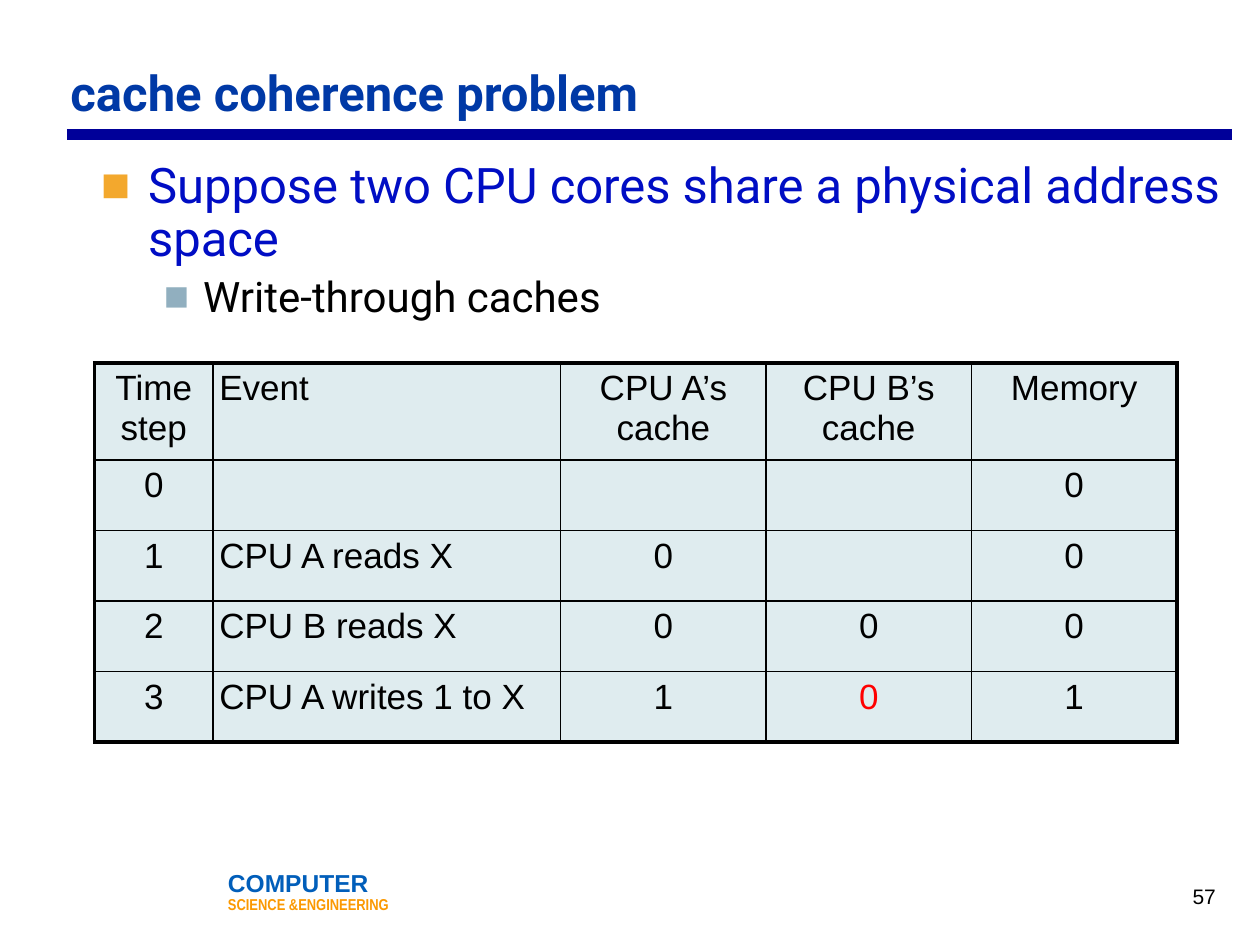
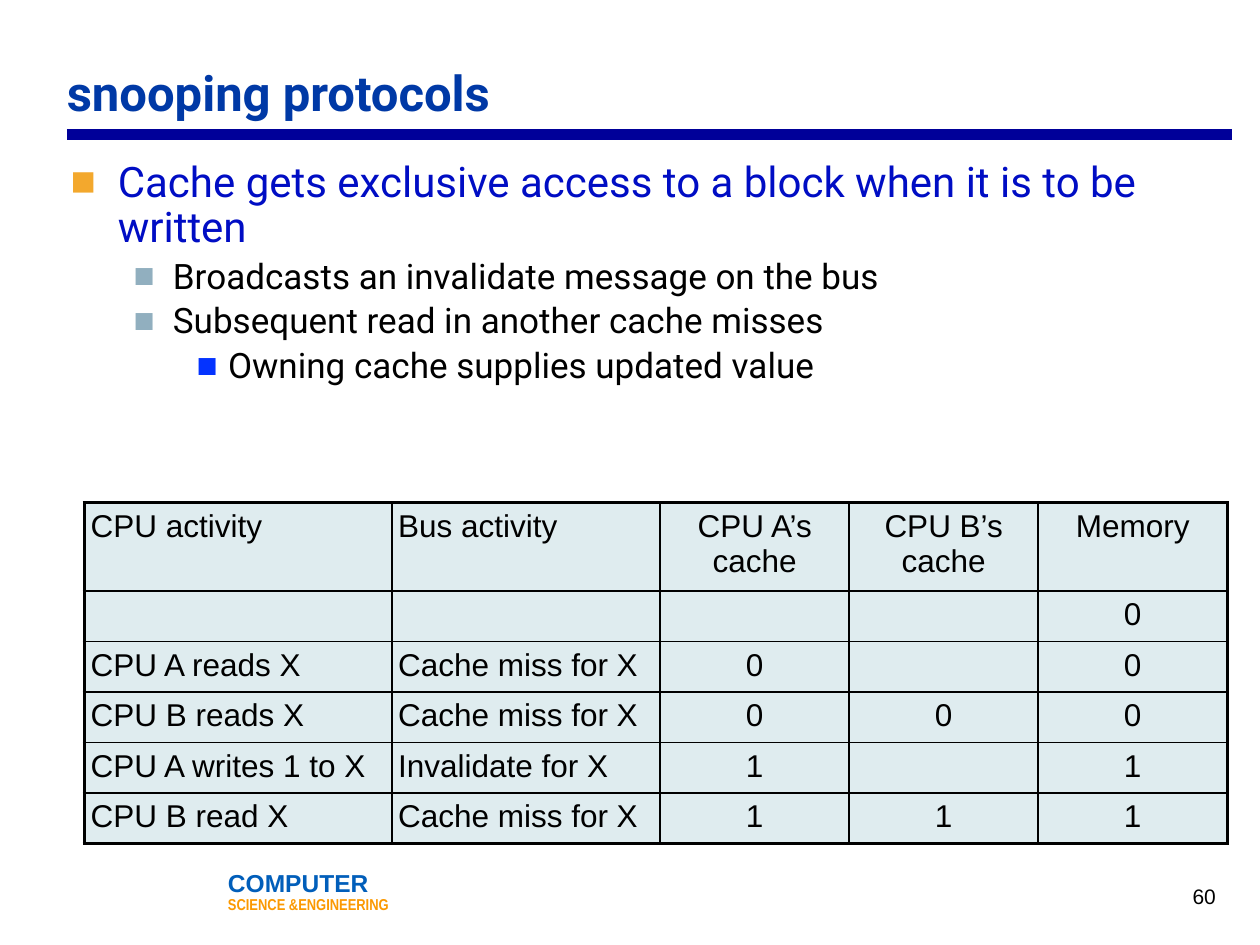
from lxml.etree import SubElement
from pptx import Presentation
from pptx.dml.color import RGBColor
from pptx.enum.shapes import MSO_CONNECTOR, MSO_SHAPE
from pptx.enum.text import MSO_ANCHOR as ANCHOR, PP_ALIGN as ALIGN
from pptx.oxml.ns import qn
from pptx.util import Pt

hex_color = RGBColor.from_string

BLACK, WHITE, RED = "000000", "FFFFFF", "FF0000"
TITLE_BLUE, RULE_BLUE = "0039A6", "000099"
FOOTER_BLUE, FOOTER_ORANGE = "015EBA", "FB9902"
CELL_FILL = "DFECEF"
INSET = Pt(3.6)
THIN, THICK = 1, 2.25
# Per outline level: left margin, hanging indent, bullet colour, text colour
LEVELS = [
    (27, 27, "F3A82D", "000DC4"),
    (58.5, 22.5, "91AFBF", BLACK),
    (90, 18, "0433FF", BLACK),
]

slides = [
    {
        "title": "cache coherence problem",
        "title_left": 36.7,
        "number": "57",
        "body_box": (54, 88.6, 651.6, 107.3),
        # level, size, space before, text
        "outline": [
            (0, 28, 0, "Suppose two CPU cores share a physical address space"),
            (1, 24, 5, "Write-through caches"),
        ],
        "table_at": (54, 207.4),
        "columns": [67.7, 198.7] + [117.4] * 3,
        "header_height": 55.4,
        "row_height": 40.3,
        "table_size": 20,
        "left_columns": {1},
        "stale_cell": (4, 3),
        "rows": [
            ("Time step", "Event", "CPU A’s cache", "CPU B’s cache", "Memory"),
            ("0", "", "", "", "0"),
            ("1", "CPU A reads X", "0", "", "0"),
            ("2", "CPU B reads X", "0", "0", "0"),
            ("3", "CPU A writes 1 to X", "1", "0", "1"),
        ],
    },
    {
        "title": "snooping protocols",
        "title_left": 34.6,
        "number": "60",
        "body_box": (36.7, 88.6, 651.6, 402.5),
        "outline": [
            (0, 24, 0, "Cache gets exclusive access to a block when it is to be written"),
            (1, 20, 4, "Broadcasts an invalidate message on the bus"),
            (1, 20, 4, "Subsequent read in another cache misses"),
            (2, 20, 4, "Owning cache supplies updated value"),
        ],
        "table_at": (48.2, 287.3),
        "columns": [175.7, 153.4] + [108] * 3,
        "header_height": 50.4,
        "row_height": 28.8,
        "table_size": 18,
        "left_columns": {0, 1},
        "stale_cell": None,
        "rows": [
            ("CPU activity", "Bus activity", "CPU A’s cache", "CPU B’s cache", "Memory"),
            ("", "", "", "", "0"),
            ("CPU A reads X", "Cache miss for X", "0", "", "0"),
            ("CPU B reads X", "Cache miss for X", "0", "0", "0"),
            ("CPU A writes 1 to X", "Invalidate for X", "1", "", "1"),
            ("CPU B read X", "Cache miss for X", "1", "1", "1"),
        ],
    },
]


def add_text_frame(slide, box, anchor=ANCHOR.TOP):
    """Add a wrapping text box and return its text frame."""
    frame = slide.shapes.add_textbox(*map(Pt, box)).text_frame
    frame.word_wrap = True
    frame.vertical_anchor = anchor
    frame.margin_left = frame.margin_right = INSET
    frame.margin_top = frame.margin_bottom = INSET
    return frame


def write(paragraph, text, size, color, font="Arial", bold=False):
    paragraph.text = text
    for run in paragraph.runs:
        run.font.size = Pt(size)
        run.font.name = font
        run.font.bold = bold
        run.font.color.rgb = hex_color(color)


presentation = Presentation()
presentation.slide_width, presentation.slide_height = Pt(720), Pt(540)

for content in slides:
    slide = presentation.slides.add_slide(presentation.slide_layouts[6])

    # Footer label
    footer = slide.shapes.add_shape(
        MSO_SHAPE.RECTANGLE, Pt(130.3), Pt(503.3), Pt(103), Pt(25.2))
    footer.shadow.inherit = False
    footer.fill.solid()
    footer.fill.fore_color.rgb = hex_color(WHITE)
    footer.line.color.rgb = hex_color(WHITE)
    footer.line.width = Pt(3)
    frame = footer.text_frame
    frame.word_wrap = True
    frame.vertical_anchor = ANCHOR.TOP
    frame.margin_left = frame.margin_right = frame.margin_top = frame.margin_bottom = 0
    write(frame.paragraphs[0], "COMPUTER", 14, FOOTER_BLUE, bold=True)
    write(frame.add_paragraph(), "SCIENCE &ENGINEERING", 9, FOOTER_ORANGE,
          "Arial Narrow", True)
    frame.paragraphs[1].space_before = Pt(4)
    for paragraph in frame.paragraphs:
        paragraph.alignment = ALIGN.LEFT
        paragraph.line_spacing = 0.5

    # Title and the rule under it
    rule = slide.shapes.add_connector(
        MSO_CONNECTOR.STRAIGHT, Pt(38.2), Pt(77), Pt(704.2), Pt(77))
    rule.line.color.rgb = hex_color(RULE_BLUE)
    rule.line.width = Pt(6)
    SubElement(rule._element.spPr, qn("a:effectLst"))
    frame = add_text_frame(slide, (content["title_left"], 31.7, 650.2, 41), ANCHOR.BOTTOM)
    write(frame.paragraphs[0], content["title"], 28, TITLE_BLUE, "Roboto", True)

    # Bulleted outline
    frame = add_text_frame(slide, content["body_box"])
    for index, (level, size, space, text) in enumerate(content["outline"]):
        margin, hanging, bullet_color, text_color = LEVELS[level]
        paragraph = frame.add_paragraph() if index else frame.paragraphs[0]
        write(paragraph, text, size, text_color, "Roboto")
        paragraph.level = level
        paragraph.line_spacing = 0.9
        paragraph.space_before = Pt(space)
        properties = paragraph._p.get_or_add_pPr()
        properties.set("marL", str(Pt(margin)))
        properties.set("indent", str(-Pt(hanging)))
        color = SubElement(properties, qn("a:buClr"))
        SubElement(color, qn("a:srgbClr"), val=bullet_color)
        SubElement(properties, qn("a:buFont"), typeface="Arial")
        SubElement(properties, qn("a:buChar"), char="■")

    # Slide number
    frame = add_text_frame(slide, (530.6, 497.5, 167.8, 28.8), ANCHOR.MIDDLE)
    write(frame.paragraphs[0], content["number"], 12, BLACK)
    frame.paragraphs[0].alignment = ALIGN.RIGHT

    # Cache state table: thick outer frame, thin inner grid
    rows, columns = content["rows"], content["columns"]
    heights = [content["header_height"]] + [content["row_height"]] * (len(rows) - 1)
    left, top = content["table_at"]
    table = slide.shapes.add_table(
        len(rows), len(columns), Pt(left), Pt(top),
        Pt(sum(columns)), Pt(sum(heights))).table
    table.first_row = table.horz_banding = False
    for column, width in zip(table.columns, columns):
        column.width = Pt(width)
    for row, height in zip(table.rows, heights):
        row.height = Pt(height)
    last_row, last_column = len(rows) - 1, len(columns) - 1
    for r, values in enumerate(rows):
        for c, value in enumerate(values):
            cell = table.cell(r, c)
            cell.margin_left = cell.margin_right = INSET
            cell.margin_top = cell.margin_bottom = INSET
            paragraph = cell.text_frame.paragraphs[0]
            if value:
                write(paragraph, value, content["table_size"],
                      RED if (r, c) == content["stale_cell"] else BLACK)
            paragraph.alignment = ALIGN.LEFT if c in content["left_columns"] else ALIGN.CENTER
            outer_sides = {"L": c == 0, "R": c == last_column,
                           "T": r == 0, "B": r == last_row}
            for side, outer in outer_sides.items():
                border = SubElement(cell._tc.get_or_add_tcPr(), qn(f"a:ln{side}"),
                                    w=str(Pt(THICK if outer else THIN)))
                fill = SubElement(border, qn("a:solidFill"))
                SubElement(fill, qn("a:srgbClr"), val=BLACK)
            cell.fill.solid()
            cell.fill.fore_color.rgb = hex_color(CELL_FILL)

presentation.save("out.pptx")
